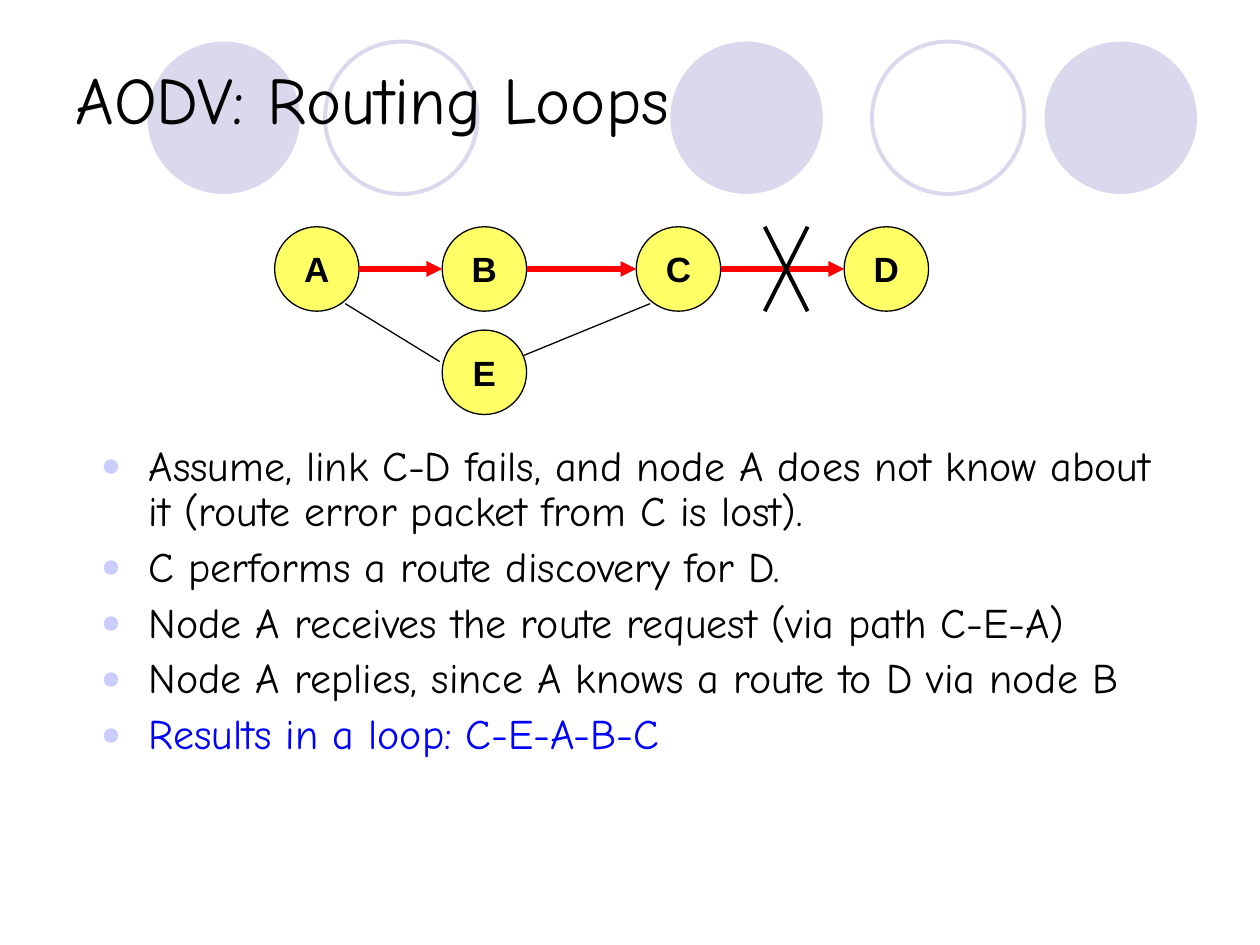
from dataclasses import dataclass

from lxml import etree
from pptx import Presentation
from pptx.dml.color import RGBColor
from pptx.enum.shapes import MSO_CONNECTOR, MSO_SHAPE
from pptx.enum.text import MSO_ANCHOR, MSO_AUTO_SIZE, PP_ALIGN
from pptx.oxml.ns import qn
from pptx.util import Inches, Pt

OVAL = MSO_SHAPE.OVAL
STRAIGHT = MSO_CONNECTOR.STRAIGHT
MIDDLE, TOP = MSO_ANCHOR.MIDDLE, MSO_ANCHOR.TOP
LEFT, CENTER = PP_ALIGN.LEFT, PP_ALIGN.CENTER
NO_FIT = MSO_AUTO_SIZE.NONE


@dataclass(frozen=True)
class Theme:
    black = RGBColor(0, 0, 0)
    blue = RGBColor(0, 0, 255)
    red = RGBColor(255, 0, 0)
    yellow = RGBColor(0xFF, 0xFF, 0x66)
    lavender = RGBColor(0xD9, 0xD8, 0xEC)
    bullet = "CCCCFF"
    text_font = "Comic Neue"
    node_font = "Arial"
    title_size = Pt(38)
    body_size = Pt(24)
    node_size = Pt(20)
    thin, medium, thick = Pt(0.75), Pt(2.25), Pt(3)


theme = Theme()
presentation = Presentation()
presentation.slide_width, presentation.slide_height = Inches(10), Inches(7.5)
slide = presentation.slides.add_slide(presentation.slide_layouts[1])


def add_circle(left, top, diameter, fill, line_color, line_width):
    shape = slide.shapes.add_shape(
        OVAL, Inches(left), Inches(top), Inches(diameter), Inches(diameter))
    shape.shadow.inherit = False
    if fill is None:
        shape.fill.background()
    else:
        shape.fill.solid()
        shape.fill.fore_color.rgb = fill
    if line_color is None:
        shape.line.fill.background()
    else:
        shape.line.color.rgb = line_color
        shape.line.width = line_width
    return shape


def add_line(start, end, color, width, arrow=False):
    connector = slide.shapes.add_connector(
        STRAIGHT, *(Inches(length) for length in (*start, *end)))
    connector.line.color.rgb = color
    connector.line.width = width
    if arrow:
        etree.SubElement(connector.line._get_or_add_ln(), qn("a:tailEnd"), type="triangle")
    etree.SubElement(connector.element.spPr, qn("a:effectLst"))


# Decorative circles, kept behind the title
for left, filled in ((1.17, True), (2.58, False), (5.32, True), (6.92, False), (8.29, True)):
    circle = add_circle(left, 0.33, 1.21, theme.lavender if filled else None,
                        None if filled else theme.lavender, theme.medium)
    slide.shapes.element.insert(2, circle.element)

# Title
title = slide.shapes.title
title.left, title.top, title.width, title.height = (
    Inches(length) for length in (0.5, 0.3, 9, 0.95))
title.text_frame.text = "AODV: Routing Loops"
title.text_frame.vertical_anchor = MIDDLE
title.text_frame.auto_size = NO_FIT
heading = title.text_frame.paragraphs[0]
heading.alignment = LEFT
heading.font.name = theme.text_font
heading.font.size = theme.title_size
heading.font.color.rgb = theme.black

# Bulleted list
statements = (
    ("Assume, link C-D fails, and node A does not know about it "
     "(route error packet from C is lost).", theme.black),
    ("C performs a route discovery for D.", theme.black),
    ("Node A receives the route request (via path C-E-A)", theme.black),
    ("Node A replies, since A knows a route to D via node B", theme.black),
    ("Results in a loop: C-E-A-B-C", theme.blue),
)
body = slide.placeholders[1]
body.left, body.top, body.width, body.height = (
    Inches(length) for length in (0.7, 3.48, 8.75, 2.97))
body.text_frame.text = "\n".join(text for text, _ in statements)
body.text_frame.vertical_anchor = TOP
body.text_frame.auto_size = NO_FIT
for paragraph, (_, color) in zip(body.text_frame.paragraphs, statements):
    paragraph.line_spacing = 0.9
    paragraph.space_before = Pt(6)
    paragraph.font.name = theme.text_font
    paragraph.font.size = theme.body_size
    paragraph.font.color.rgb = color
    properties = paragraph._p.get_or_add_pPr()
    properties.set("marL", str(Inches(0.38)))
    properties.set("indent", str(-Inches(0.38)))
    bullet_color = etree.Element(qn("a:buClr"))
    etree.SubElement(bullet_color, qn("a:srgbClr"), val=theme.bullet)
    bullet_size = etree.Element(qn("a:buSzPct"), val="80000")
    bullet_font = etree.Element(qn("a:buFont"), typeface=theme.node_font)
    bullet_mark = etree.Element(qn("a:buChar"), char="●")
    properties.find(qn("a:defRPr")).addprevious(bullet_color)
    for element in (bullet_size, bullet_font, bullet_mark):
        properties.find(qn("a:defRPr")).addprevious(element)

# Network nodes
diameter, upper_row, lower_row = 0.67, 1.8, 2.62
nodes = {"A": (2.18, upper_row), "B": (3.51, upper_row), "C": (5.05, upper_row),
         "D": (6.7, upper_row), "E": (3.51, lower_row)}
for name, (left, top) in nodes.items():
    node = add_circle(left, top, diameter, theme.yellow, theme.black, theme.thin)
    node.text_frame.text = name
    node.text_frame.word_wrap = False
    node.text_frame.vertical_anchor = MIDDLE
    label = node.text_frame.paragraphs[0]
    label.alignment = CENTER
    label.font.name = theme.node_font
    label.font.size = theme.node_size
    label.font.bold = True
    label.font.color.rgb = theme.black

# Route A-B-C-D
route_height = upper_row + diameter / 2
for source, target in ("AB", "BC", "CD"):
    add_line((nodes[source][0] + diameter, route_height),
             (nodes[target][0], route_height), theme.red, theme.thick, arrow=True)

# Cross over the failed link C-D
cross_left, cross_right = 6.07, 6.41
for start, end in ((cross_left, cross_right), (cross_right, cross_left)):
    add_line((start, upper_row), (end, upper_row + diameter), theme.black, theme.medium)

# Links A-E and E-C
add_line((2.74, 2.41), (3.49, 2.87), theme.black, theme.thin)
add_line((4.16, 2.82), (5.16, 2.41), theme.black, theme.thin)

presentation.save("out.pptx")
